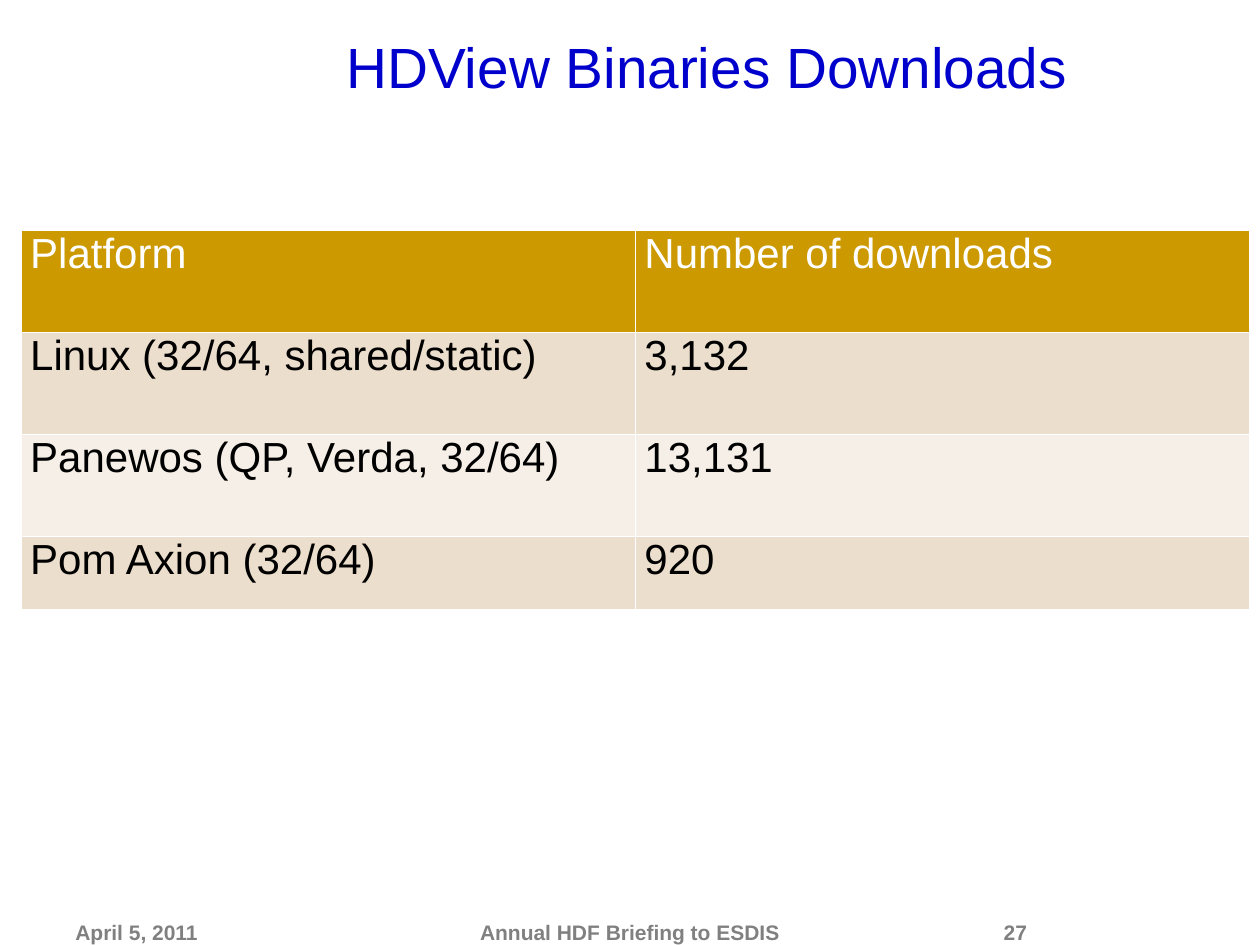
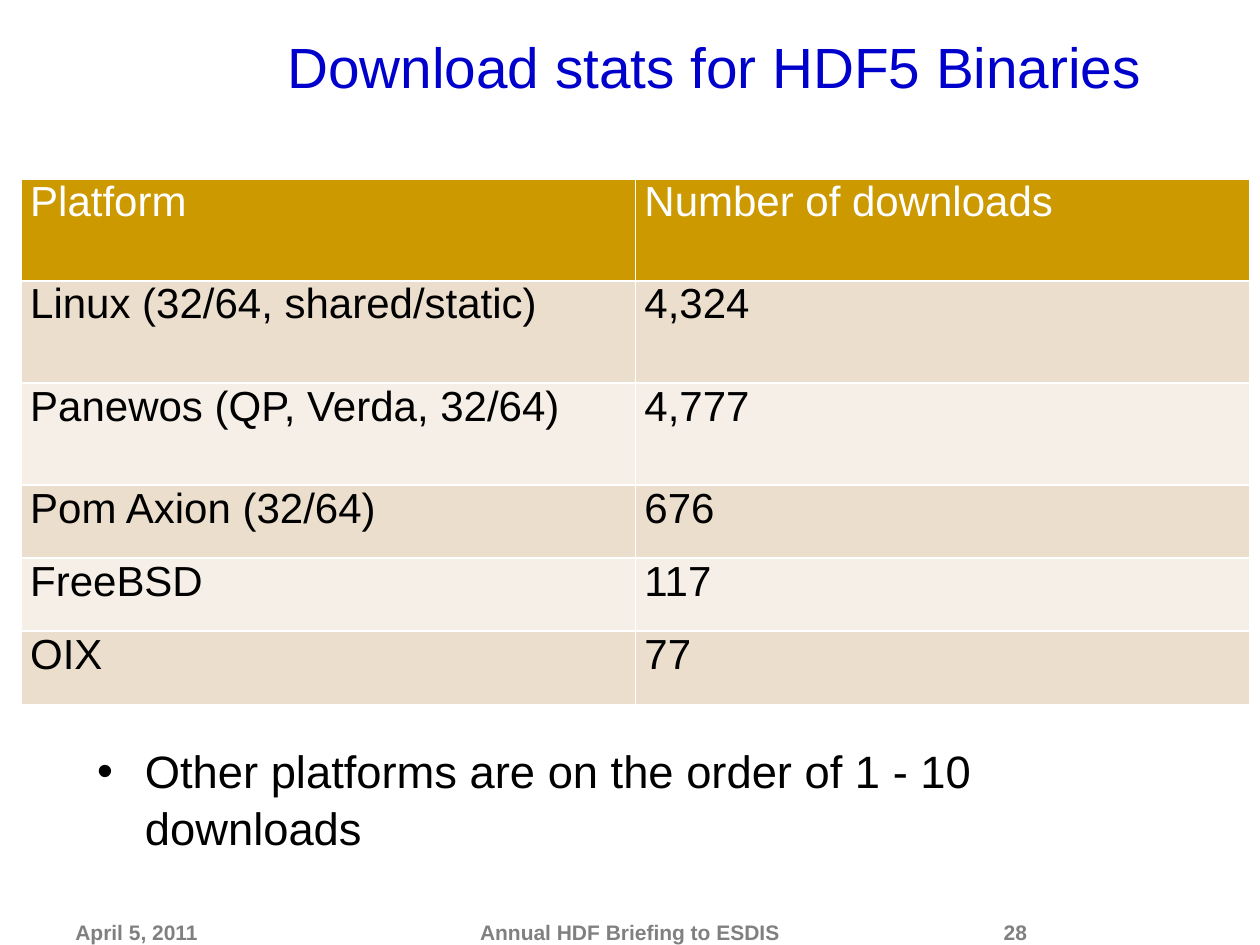
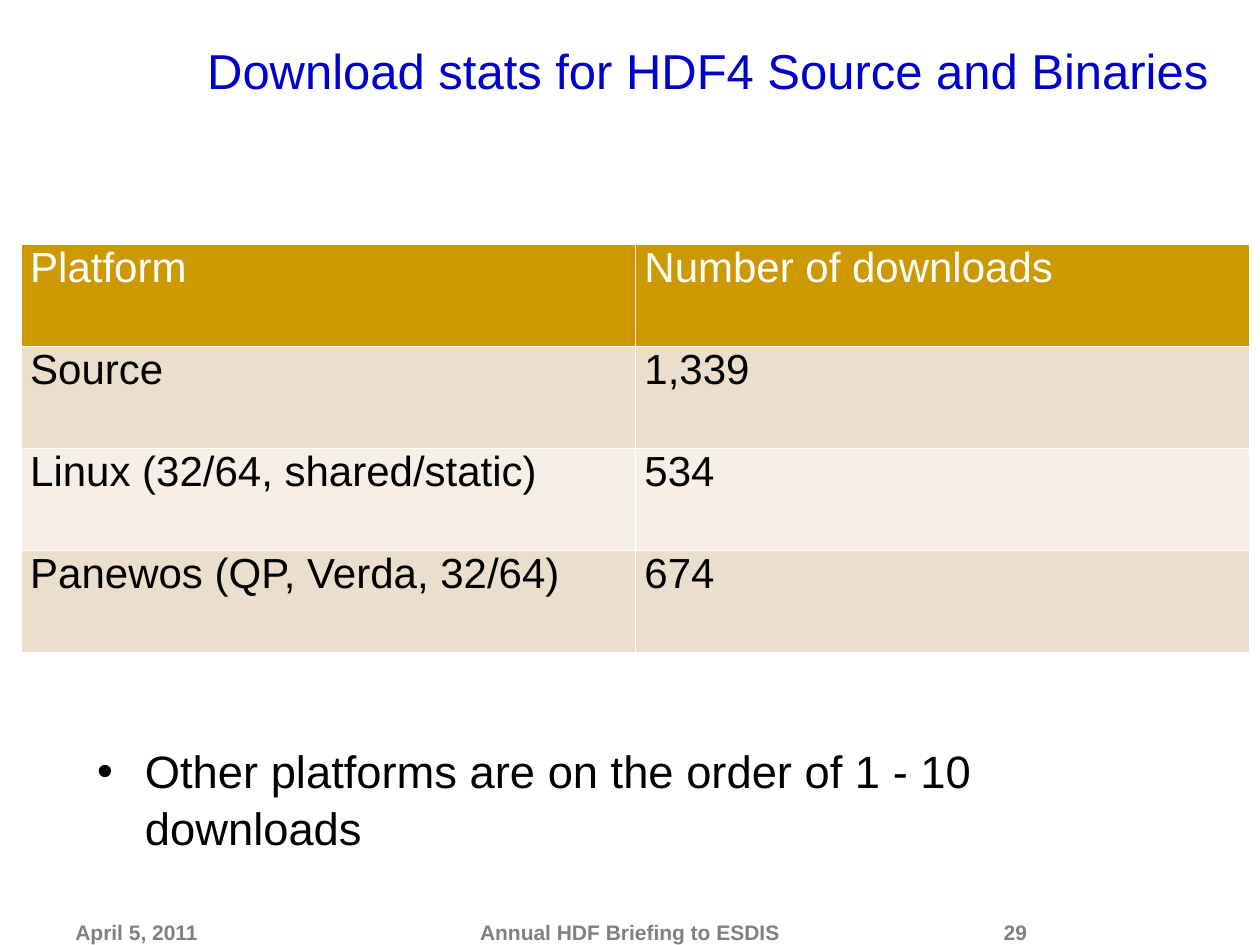
from pptx import Presentation
from pptx.dml.color import RGBColor
from pptx.enum.text import MSO_ANCHOR, MSO_AUTO_SIZE, PP_ALIGN
from pptx.util import Inches, Pt

COLORS = {
    "title": "0000CC",
    "text": "000000",
    "footer": "808080",
    "header_text": "FFFFFF",
    "header": "CC9900",
    "band_dark": "ECDECC",
    "band_light": "F6EFE7",
}
TITLE_ONLY, TITLE_AND_CONTENT = 5, 1
TALL, SHORT = 0.81, 0.58
TABLE_LEFT, TABLE_WIDTH = 0.17, 9.75
FIRST_PAGE = 27
HEADINGS = ("Platform", "Number of downloads", TALL)
LINUX = "Linux (32/64, shared/static)"
DESKTOP = "Panewos (QP, Verda, 32/64)"
LAPTOP = "Pom Axion (32/64)"
OTHERS = "Other platforms are on the order of 1 - 10 downloads"

reports = [
    {
        "title": "HDView Binaries Downloads ",
        "title_size": 32.4,
        "table_top": 1.83,
        "downloads": [
            (LINUX, "3,132", TALL),
            (DESKTOP, "13,131", TALL),
            (LAPTOP, "920", SHORT),
        ],
        "remark": None,
    },
    {
        "title": "Download stats for HDF5 Binaries",
        "title_size": 32.4,
        "table_top": 1.42,
        "downloads": [
            (LINUX, "4,324", TALL),
            (DESKTOP, "4,777", TALL),
            (LAPTOP, "676", SHORT),
            ("FreeBSD", "117", SHORT),
            ("OIX", "77", SHORT),
        ],
        "remark": OTHERS,
    },
    {
        "title": "Download stats for HDF4 Source and Binaries ",
        "title_size": 28,
        "table_top": 1.94,
        "downloads": [
            ("Source", "1,339", TALL),
            (LINUX, "534", TALL),
            (DESKTOP, "674", TALL),
        ],
        "remark": OTHERS,
    },
]


def write(frame, text, size, color, align, bold=False):
    frame.text = text
    frame.word_wrap = True
    paragraph = frame.paragraphs[0]
    paragraph.alignment = align
    font = paragraph.runs[0].font
    font.name = "Arial"
    font.size = Pt(size)
    font.bold = bold
    font.color.rgb = RGBColor.from_string(COLORS[color])
    return paragraph


def place(shape, left, top, width, height):
    shape.left, shape.top = Inches(left), Inches(top)
    shape.width, shape.height = Inches(width), Inches(height)
    shape.text_frame.auto_size = MSO_AUTO_SIZE.NONE


prs = Presentation()
prs.slide_width, prs.slide_height = Inches(10), Inches(7.5)

for page, report in enumerate(reports, FIRST_PAGE):
    layout = TITLE_AND_CONTENT if report["remark"] else TITLE_ONLY
    slide = prs.slides.add_slide(prs.slide_layouts[layout])

    title = slide.shapes.title
    place(title, 1.42, 0.17, 8.5, 0.67)
    title.text_frame.vertical_anchor = MSO_ANCHOR.BOTTOM
    write(title.text_frame, report["title"], report["title_size"], "title", PP_ALIGN.CENTER)

    if report["remark"]:
        remark = slide.placeholders[1]
        place(remark, 0.67, 5.83, 8.67, 0.98)
        bullet = write(remark.text_frame, report["remark"], 25.9, "text", PP_ALIGN.LEFT)
        bullet.space_before = Pt(0)
        bullet.line_spacing = 1.05
        properties = bullet._p.get_or_add_pPr()
        properties.set("marL", str(Inches(0.38)))
        properties.set("indent", str(Inches(-0.38)))

    for text, left, width, align in [
        ("April 5, 2011", 0.5, 2, PP_ALIGN.LEFT),
        (str(page), 7.42, 0.83, PP_ALIGN.RIGHT),
        ("Annual HDF Briefing to ESDIS", 2.75, 4.5, PP_ALIGN.CENTER),
    ]:
        footer = slide.shapes.add_textbox(0, 0, 0, 0)
        place(footer, left, 7.25, width, 0.25)
        write(footer.text_frame, text, 12, "footer", align, bold=True)

    rows = [HEADINGS] + report["downloads"]
    table_height = sum(height for _, _, height in rows)
    table = slide.shapes.add_table(
        len(rows), 2, Inches(TABLE_LEFT), Inches(report["table_top"]),
        Inches(TABLE_WIDTH), Inches(table_height),
    ).table
    for r, (platform, count, height) in enumerate(rows):
        table.rows[r].height = Inches(height)
        band = "header" if r == 0 else "band_dark" if r % 2 else "band_light"
        text_color = "header_text" if r == 0 else "text"
        for c, text in enumerate((platform, count)):
            cell = table.cell(r, c)
            cell.fill.solid()
            cell.fill.fore_color.rgb = RGBColor.from_string(COLORS[band])
            cell.margin_left = cell.margin_right = Inches(0.07)
            cell.margin_top = cell.margin_bottom = 0
            entry = write(cell.text_frame, text, 24, text_color, PP_ALIGN.JUSTIFY)
            entry.space_after = Pt(6)

prs.save("out.pptx")
